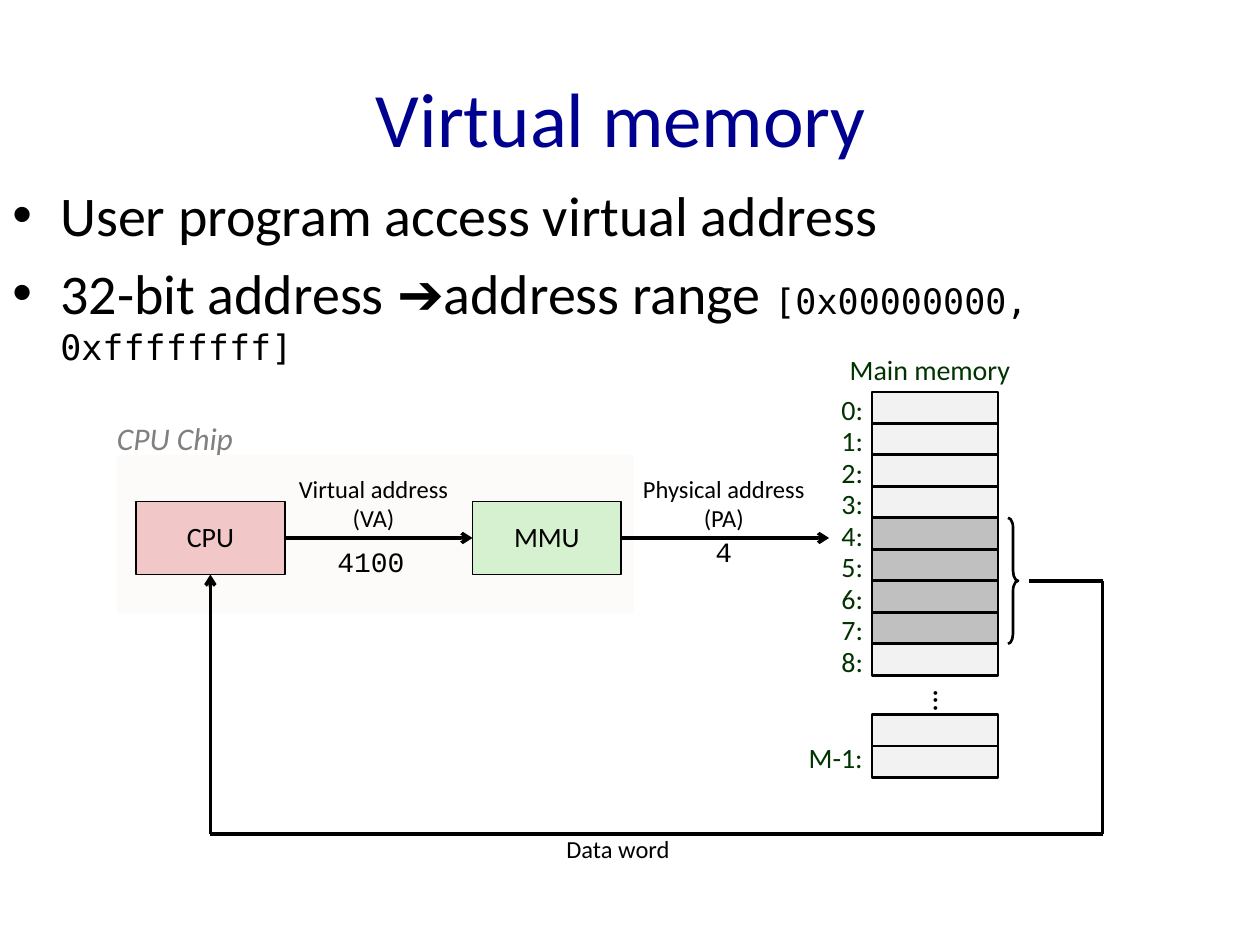
from typing import NamedTuple

from lxml import etree
from pptx import Presentation
from pptx.dml.color import RGBColor
from pptx.enum.shapes import MSO_CONNECTOR, MSO_SHAPE
from pptx.enum.text import MSO_ANCHOR, MSO_AUTO_SIZE, PP_ALIGN
from pptx.oxml.ns import qn
from pptx.util import Inches, Pt

LEFT, CENTER = PP_ALIGN.LEFT, PP_ALIGN.CENTER
TOP, MIDDLE = MSO_ANCHOR.TOP, MSO_ANCHOR.MIDDLE
GROW = MSO_AUTO_SIZE.SHAPE_TO_FIT_TEXT
RECTANGLE, RIGHT_BRACE = MSO_SHAPE.RECTANGLE, MSO_SHAPE.RIGHT_BRACE
STRAIGHT = MSO_CONNECTOR.STRAIGHT
SIDE_LEFT, SIDE_BOTTOM, SIDE_RIGHT = 1, 2, 3

COLORS = {
    "title": "000090", "ink": "000000", "memory": "003300", "caption": "808080",
    "chip": "FCFBF9", "cpu": "F1C7C7", "mmu": "D5F1CF",
    "cell": "F2F2F2", "word": "C0C0C0",
}


class Area(NamedTuple):
    left: float
    top: float
    width: float
    height: float

    def lengths(self):
        return [Inches(value) for value in self]


class Span(NamedTuple):
    text: str
    size: float
    font: str = "Calibri"


class Label(NamedTuple):
    area: Area
    text: str
    format: dict


def write(box, paragraphs, *, size=16, font="Calibri", color="ink", italic=False,
          align=LEFT, anchor=TOP, spacing=None, before=0, bullet=False, wrap=False):
    """Fill a box; each paragraph is a string or a list of spans."""
    frame = box.text_frame
    frame.word_wrap = wrap
    frame.vertical_anchor = anchor
    for index, content in enumerate(paragraphs):
        para = frame.paragraphs[0] if index == 0 else frame.add_paragraph()
        para.alignment = align
        if spacing:
            para.line_spacing = spacing
        if index and before:
            para.space_before = Pt(before)
        if bullet:
            properties = para._p.get_or_add_pPr()
            properties.set("marL", str(Inches(0.38)))
            properties.set("indent", str(Inches(-0.38)))
            etree.SubElement(properties, qn("a:buFont")).set("typeface", "Arial")
            etree.SubElement(properties, qn("a:buChar")).set("char", "•")
        spans = [Span(content, size, font)] if isinstance(content, str) else content
        for span in spans:
            run = para.add_run()
            run.text = span.text
            run.font.size = Pt(span.size)
            run.font.name = span.font
            run.font.italic = italic
            run.font.color.rgb = RGBColor.from_string(COLORS[color])


def add_text(page, area: Area, *paragraphs, grow=True, **text_format):
    box = page.shapes.add_textbox(*area.lengths())
    write(box, paragraphs, **text_format)
    if grow:
        box.text_frame.auto_size = GROW
    return box


def add_box(page, area: Area, fill=None, line_width=0, kind=RECTANGLE):
    box = page.shapes.add_shape(kind, *area.lengths())
    box.shadow.inherit = False
    if fill:
        box.fill.solid()
        box.fill.fore_color.rgb = RGBColor.from_string(COLORS[fill])
    else:
        box.fill.background()
    if line_width:
        box.line.color.rgb = RGBColor.from_string(COLORS["ink"])
        box.line.width = Pt(line_width)
    else:
        box.line.fill.background()
    return box


def add_line(page, start, end, begin=None, finish=None, arrow=False):
    """Draw a line; begin and finish are optional (shape, side) joints."""
    line = page.shapes.add_connector(
        STRAIGHT, *[Inches(value) for value in (*start, *end)])
    line.line.color.rgb = RGBColor.from_string(COLORS["ink"])
    line.line.width = Pt(2)
    if arrow:
        outline = line.line._get_or_add_ln()
        etree.SubElement(outline, qn("a:tailEnd")).set("type", "arrow")
    etree.SubElement(line._element.spPr, qn("a:effectLst"))
    if begin:
        line.begin_connect(*begin)
    if finish:
        line.end_connect(*finish)


def add_memory(page):
    """Draw the cells, their addresses and the brace around the data word."""
    left, first_top, height = 6.92, 3.11, 0.25
    address = {"color": "memory", "spacing": 0.88}
    for number in range(9):
        top = first_top + number * height
        fill = "word" if 4 <= number <= 7 else "cell"
        add_box(page, Area(left, top, 1, height), fill, 1.5)
        add_text(page, Area(6.58, top - 0.01, 0.37, 0.33), f"{number}:", **address)
    for number in range(2):
        add_box(page, Area(left, 5.67 + number * height, 1, height), "cell", 1.5)
    add_text(page, Area(6.32, 5.86, 0.64, 0.33), "M-1:", **address)
    add_text(page, Area(6.62, 2.78, 1.52, 0.33), "Main memory", align=CENTER, **address)
    dots = add_text(page, Area(7, 5.37, 1, 0.25), "...", grow=False, size=18,
                    align=CENTER, anchor=MIDDLE, spacing=0.98)
    dots.text_frame._txBody.bodyPr.set("vert", "eaVert")
    brace = add_box(page, Area(8, 4.11, 0.08, 1), None, 1.5, RIGHT_BRACE)
    brace.adjustments[0] = 1


def add_unit(page, left: float, name: str, fill: str):
    unit = add_box(page, Area(left, 3.98, 1.18, 0.58), fill, 1)
    write(unit, [name], align=CENTER, anchor=MIDDLE, spacing=0.98)
    return unit


def main():
    deck = Presentation()
    deck.slide_width, deck.slide_height = Inches(10), Inches(7.5)
    page = deck.slides.add_slide(deck.slide_layouts[6])

    # Title and bullets
    add_text(page, Area(0.5, 0.3, 9, 1.25), "Virtual memory ", grow=False, size=44,
             color="title", align=CENTER, anchor=MIDDLE, wrap=True)
    add_text(page, Area(0, 1.38, 10.25, 4.95),
             "User program access virtual address",
             [Span("32-bit address ➔address range ", 32),
              Span("[0x00000000, 0xffffffff]", 20, "DejaVu Sans Mono")],
             grow=False, size=32, before=6.4, bullet=True, wrap=True)

    # Chip and main memory
    add_box(page, Area(0.93, 3.61, 4.1, 1.26), "chip")
    cpu = add_unit(page, 1.08, "CPU", "cpu")
    mmu = add_unit(page, 3.75, "MMU", "mmu")
    add_memory(page)

    # Address path from CPU to memory
    middle = 4.27
    add_line(page, (2.26, middle), (3.75, middle),
             (cpu, SIDE_RIGHT), (mmu, SIDE_LEFT), arrow=True)
    add_line(page, (4.93, middle), (6.58, middle), (mmu, SIDE_RIGHT), arrow=True)

    # Data path from memory back to CPU
    corners = [(8.17, 4.61), (8.75, 4.61), (8.75, 6.62), (1.67, 6.62)]
    for start, end in zip(corners, corners[1:]):
        add_line(page, start, end)
    add_line(page, corners[-1], (1.67, 4.56), finish=(cpu, SIDE_BOTTOM), arrow=True)

    # Captions
    caption = {"size": 14, "align": CENTER, "anchor": MIDDLE, "spacing": 0.98}
    code = {"font": "Courier New"}
    labels = [
        Label(Area(2.25, 3.72, 1.43, 0.57), "Virtual address\n(VA)", caption),
        Label(Area(4.98, 3.72, 1.53, 0.57), "Physical address\n(PA)", caption),
        Label(Area(4.38, 6.58, 1.05, 0.33), "Data word", caption),
        Label(Area(0.83, 3.28, 1.16, 0.4), "CPU Chip",
              {"size": 18, "color": "caption", "italic": True}),
        Label(Area(5.58, 4.19, 0.34, 0.37), "4", code),
        Label(Area(2.58, 4.27, 0.74, 0.37), "4100", code),
    ]
    for label in labels:
        add_text(page, label.area, *label.text.split("\n"), **label.format)

    deck.save("out.pptx")


if __name__ == "__main__":
    main()
